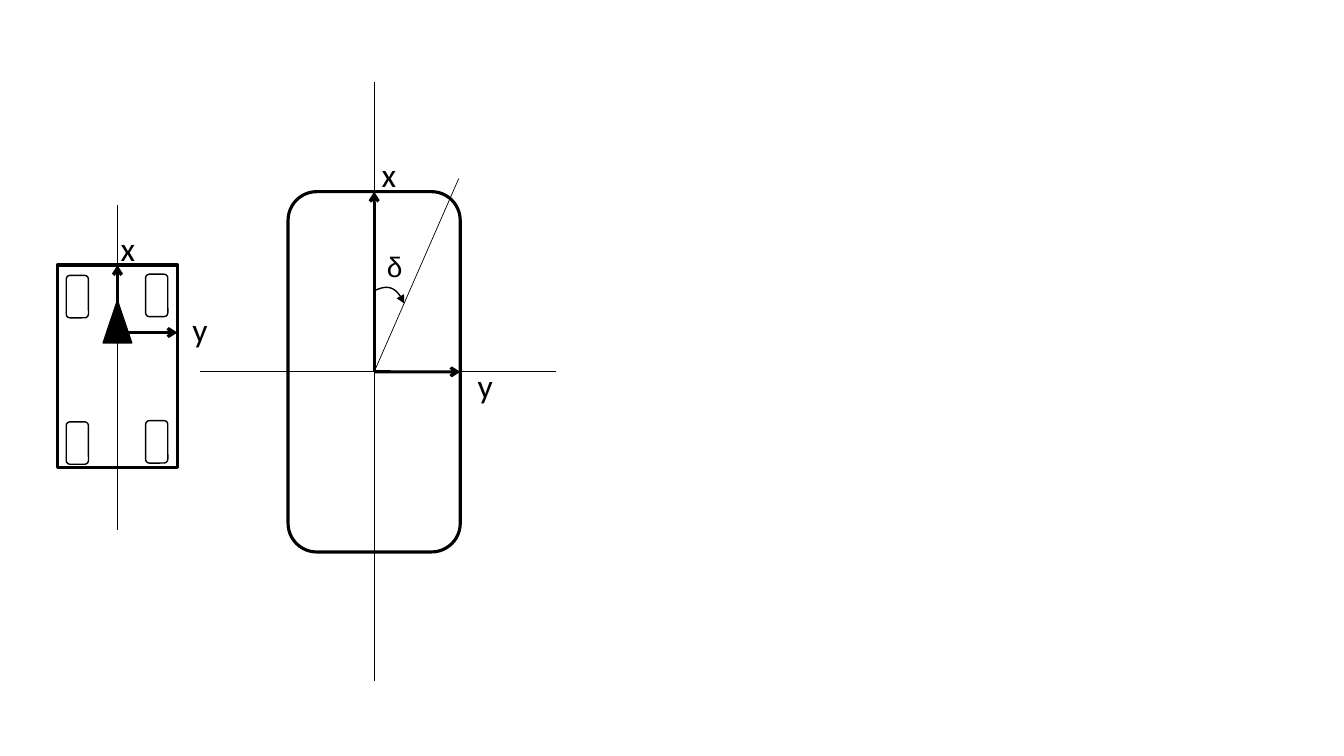
from dataclasses import dataclass

from lxml.etree import SubElement
from pptx import Presentation
from pptx.dml.color import RGBColor
from pptx.enum.shapes import MSO_CONNECTOR as Connector, MSO_SHAPE as Shape
from pptx.enum.text import MSO_AUTO_SIZE as AutoSize, PP_ALIGN as Align
from pptx.oxml.ns import qn
from pptx.util import Cm, Pt


@dataclass(frozen=True)
class Theme:
    ink: RGBColor = RGBColor(0, 0, 0)
    thin: float = 0.5
    medium: float = 1
    thick: float = 2.25
    axis_font: str = "Calibri"
    axis_size: int = 24
    angle_font: str = "Arial"
    angle_size: int = 20


THEME = Theme()
TOP, RIGHT = 0, 3


def style_line(line, width, head=None):
    line.color.rgb = THEME.ink
    line.width = Pt(width)
    if head:
        SubElement(line._get_or_add_ln(), qn("a:tailEnd"), type=head)


def add_outline(slide, kind, left, top, width, height, weight, filled=False):
    shape = slide.shapes.add_shape(kind, Cm(left), Cm(top), Cm(width), Cm(height))
    shape.shadow.inherit = False
    if filled:
        shape.fill.solid()
        shape.fill.fore_color.rgb = THEME.ink
    else:
        shape.fill.background()
    style_line(shape.line, weight)
    return shape


def add_line(slide, start, end, weight, head=None, target=None, site=None):
    points = [Cm(value) for value in (*start, *end)]
    connector = slide.shapes.add_connector(Connector.STRAIGHT, *points)
    if target is not None:
        connector.end_connect(target, site)
    SubElement(connector._element.spPr, qn("a:effectLst"))
    style_line(connector.line, weight, head)


def add_arrow(slide, start, end, target=None, site=None):
    add_line(slide, start, end, THEME.thick, "arrow", target, site)


def add_label(slide, text, left, top, width, height, font, size, align=Align.LEFT):
    box = slide.shapes.add_textbox(Cm(left), Cm(top), Cm(width), Cm(height))
    frame = box.text_frame
    frame.word_wrap = True
    frame.auto_size = AutoSize.SHAPE_TO_FIT_TEXT
    frame.text = text
    paragraph = frame.paragraphs[0]
    paragraph.alignment = align
    run_font = paragraph.runs[0].font
    run_font.name = font
    run_font.size = Pt(size)
    run_font.color.rgb = THEME.ink


def add_axis_label(slide, text, left, top):
    add_label(slide, text, left, top, 0.74, 1.27, THEME.axis_font, THEME.axis_size)


def bezier_point(controls, t):
    weights = ((1 - t) ** 3, 3 * t * (1 - t) ** 2, 3 * t**2 * (1 - t), t**3)
    return tuple(
        Cm(sum(weight * value for weight, value in zip(weights, values)))
        for values in zip(*controls)
    )


def add_curved_arrow(slide, controls, steps=24):
    points = [bezier_point(controls, step / steps) for step in range(steps + 1)]
    builder = slide.shapes.build_freeform(*points[0])
    builder.add_line_segments(points[1:], close=False)
    shape = builder.convert_to_shape()
    shape.shadow.inherit = False
    shape.fill.background()
    style_line(shape.line, THEME.medium, "triangle")


def draw_vehicle(slide):
    center, origin = 2.96, 8.38
    body = add_outline(slide, Shape.RECTANGLE, 1.45, 6.68, 3.02, 5.11, THEME.thick)
    add_outline(slide, Shape.ISOSCELES_TRIANGLE, 2.6, 7.57, 0.72, 1.07, THEME.medium, True)
    add_line(slide, (center, 5.16), (center, 13.36), THEME.thin)
    for axle in (6.91, 10.6):
        for left, drop in ((1.67, 0.03), (3.67, 0)):
            add_outline(slide, Shape.ROUNDED_RECTANGLE, left, axle + drop, 0.56, 1.07, THEME.medium)
    add_arrow(slide, (center, origin), (center, 6.68), body, TOP)
    add_arrow(slide, (center, origin), (4.47, origin))
    add_axis_label(slide, "x", 2.79, 5.61)
    add_axis_label(slide, "y", 4.6, 7.67)


def draw_tire(slide):
    center, middle = 9.43, 9.37
    tire = add_outline(slide, Shape.ROUNDED_RECTANGLE, 7.26, 4.83, 4.34, 9.08, THEME.thick)
    add_line(slide, (center, 2.06), (center, 17.15), THEME.thin)
    add_line(slide, (14.02, middle), (5.03, middle), THEME.thin)
    add_arrow(slide, (center, middle), (center, 4.83), tire, TOP)
    add_arrow(slide, (center, middle), (11.6, middle), tire, RIGHT)
    add_axis_label(slide, "x", 9.37, 3.76)
    add_axis_label(slide, "y", 11.79, 9.07)


def draw_steering_angle(slide):
    add_line(slide, (11.56, 4.5), (9.43, 9.37), THEME.thin)
    add_curved_arrow(slide, ((9.45, 7.32), (9.7, 7.21), (9.96, 7.14), (10.19, 7.65)))
    add_label(slide, "δ", 9.25, 6.15, 1.4, 1.12, THEME.angle_font, THEME.angle_size, Align.CENTER)


def main():
    presentation = Presentation()
    presentation.slide_width = Cm(33.87)
    presentation.slide_height = Cm(19.05)
    slide = presentation.slides.add_slide(presentation.slide_layouts[6])
    draw_vehicle(slide)
    draw_tire(slide)
    draw_steering_angle(slide)
    presentation.save("out.pptx")


if __name__ == "__main__":
    main()
